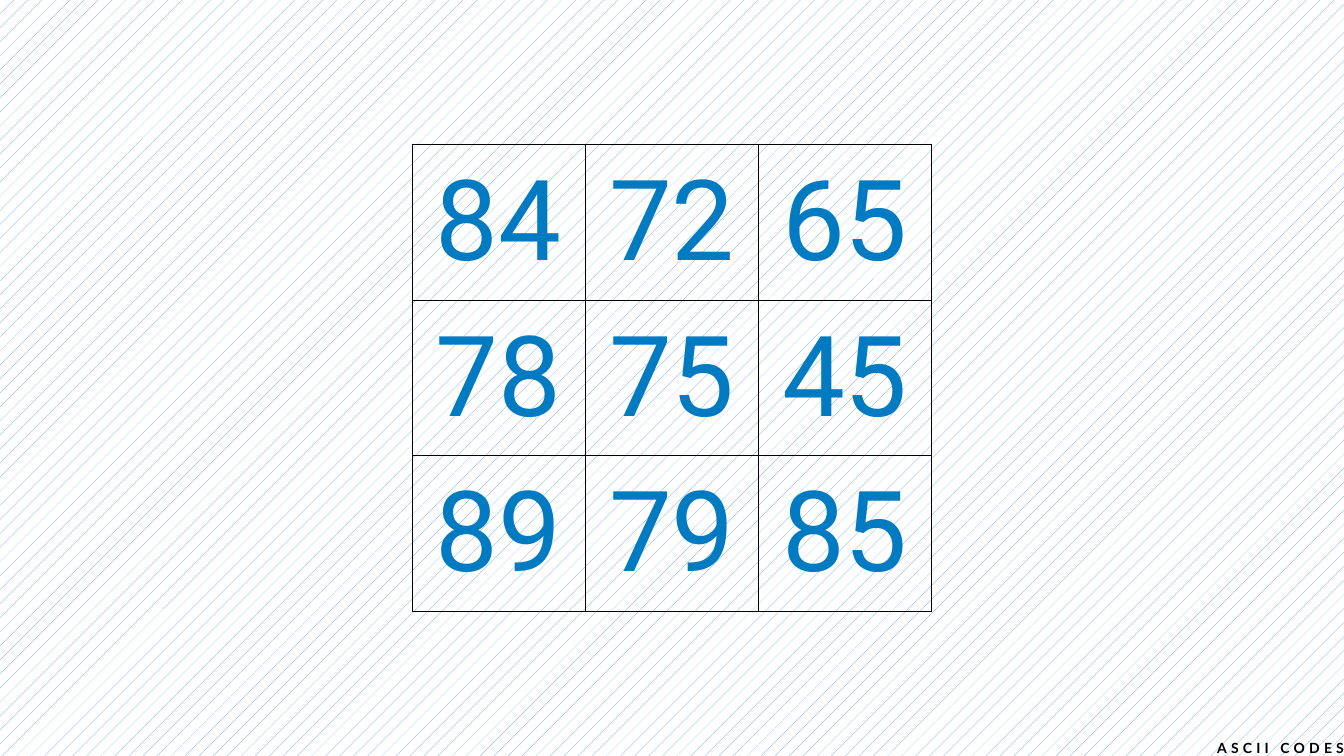
import pptx
import pptx.util
import pptx.oxml
import pptx.oxml.ns
import pptx.dml.color
import pptx.enum.dml
import pptx.enum.text

Pt = pptx.util.Pt
ALIGN = pptx.enum.text.PP_ALIGN
ANCHOR = pptx.enum.text.MSO_ANCHOR

# Content
CODES = [(84, 72, 65), (78, 75, 45), (89, 79, 85)]
LABEL = "ASCII CODES"
COLORS = {"code": "007BC1", "ink": "000000", "dot": "5B9BD5", "page": "FFFFFF"}
CODE = {"name": "Roboto", "size": Pt(80), "bold": False}
TAG = {"name": "Lato", "size": Pt(10), "bold": True}

# Layout in points
WIDE, HIGH = 960, 540
CELL_W, CELL_H = 123.6, 111.2
TAG_W, TAG_H = 95, 12


def rgb(key):
    return pptx.dml.color.RGBColor.from_string(COLORS[key])


def write(frame, text, font, color, align):
    para = frame.paragraphs[0]
    para.alignment = align
    run = para.add_run()
    run.text = text
    for key, value in font.items():
        setattr(run.font, key, value)
    run.font.color.rgb = rgb(color)
    return run


def border(cell):
    props = cell._tc.get_or_add_tcPr()
    space = pptx.oxml.ns.nsdecls("a")
    for pos, side in enumerate(("lnL", "lnR", "lnT", "lnB")):
        props.insert(pos, pptx.oxml.parse_xml(
            f'<a:{side} {space} w="{Pt(1)}"><a:solidFill>'
            f'<a:srgbClr val="{COLORS["ink"]}"/></a:solidFill></a:{side}>'))


# Page and patterned background
deck = pptx.Presentation()
deck.slide_width, deck.slide_height = Pt(WIDE), Pt(HIGH)
slide = deck.slides.add_slide(deck.slide_layouts[6])
fill = slide.background.fill
fill.patterned()
fill.pattern = pptx.enum.dml.MSO_PATTERN.PERCENT_5
fill.fore_color.rgb = rgb("dot")
fill.back_color.rgb = rgb("page")

# Code grid, centred on the page
rows, cols = len(CODES), len(CODES[0])
grid_w, grid_h = cols * CELL_W, rows * CELL_H
grid = slide.shapes.add_table(
    rows, cols, Pt((WIDE - grid_w) / 2), Pt((HIGH - grid_h) / 2),
    Pt(grid_w), Pt(grid_h)).table
grid.first_row = grid.horz_banding = False
for col in grid.columns:
    col.width = Pt(CELL_W)
for row, codes in zip(grid.rows, CODES):
    row.height = Pt(CELL_H)
    for cell, code in zip(row.cells, codes):
        cell.fill.background()
        cell.vertical_anchor = ANCHOR.MIDDLE
        write(cell.text_frame, str(code), CODE, "code", ALIGN.CENTER)
        border(cell)

# Label in the bottom right corner
box = slide.shapes.add_textbox(
    Pt(WIDE - TAG_W), Pt(HIGH - TAG_H), Pt(TAG_W), Pt(TAG_H))
frame = box.text_frame
FRAME = {"margin_left": 0, "margin_right": 0, "margin_top": 0,
         "margin_bottom": 0, "word_wrap": False,
         "auto_size": pptx.enum.text.MSO_AUTO_SIZE.SHAPE_TO_FIT_TEXT}
for key, value in FRAME.items():
    setattr(frame, key, value)
tag = write(frame, LABEL, TAG, "ink", ALIGN.RIGHT)
tag.font._element.set("spc", "300")

deck.save("out.pptx")
